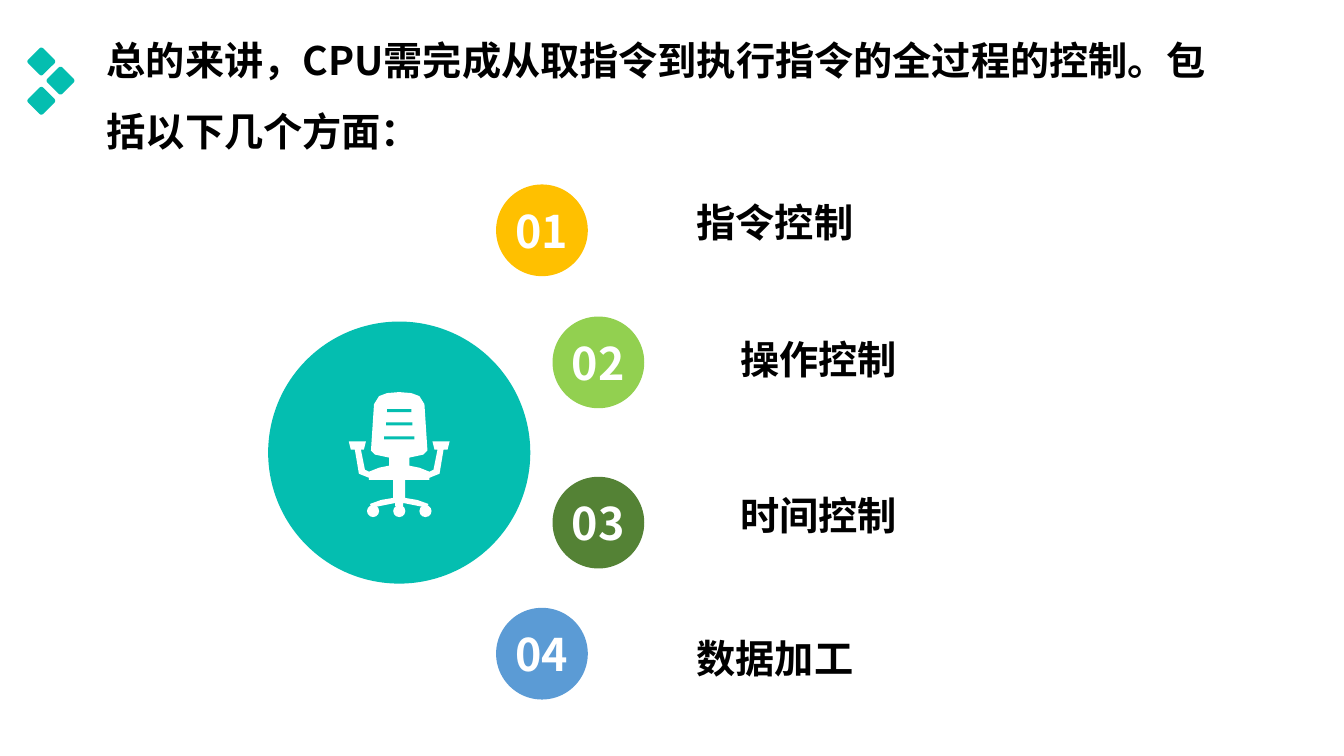
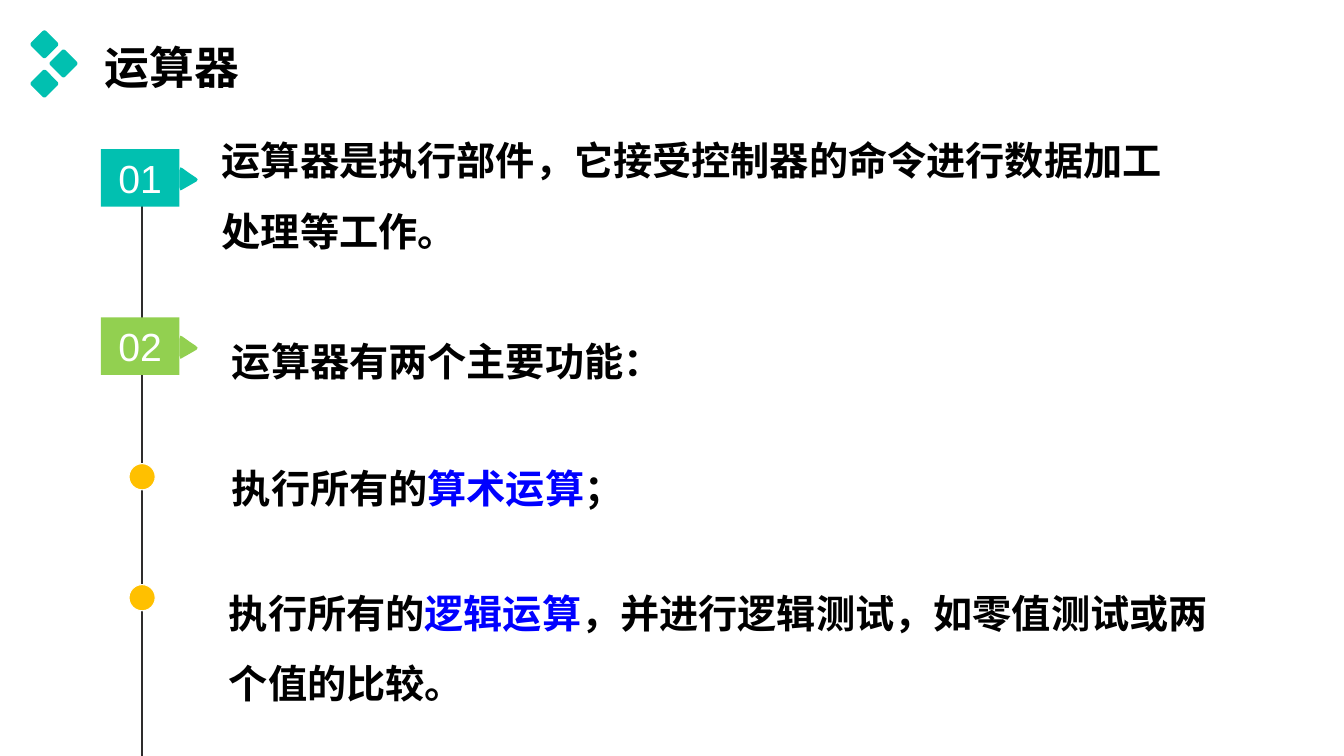
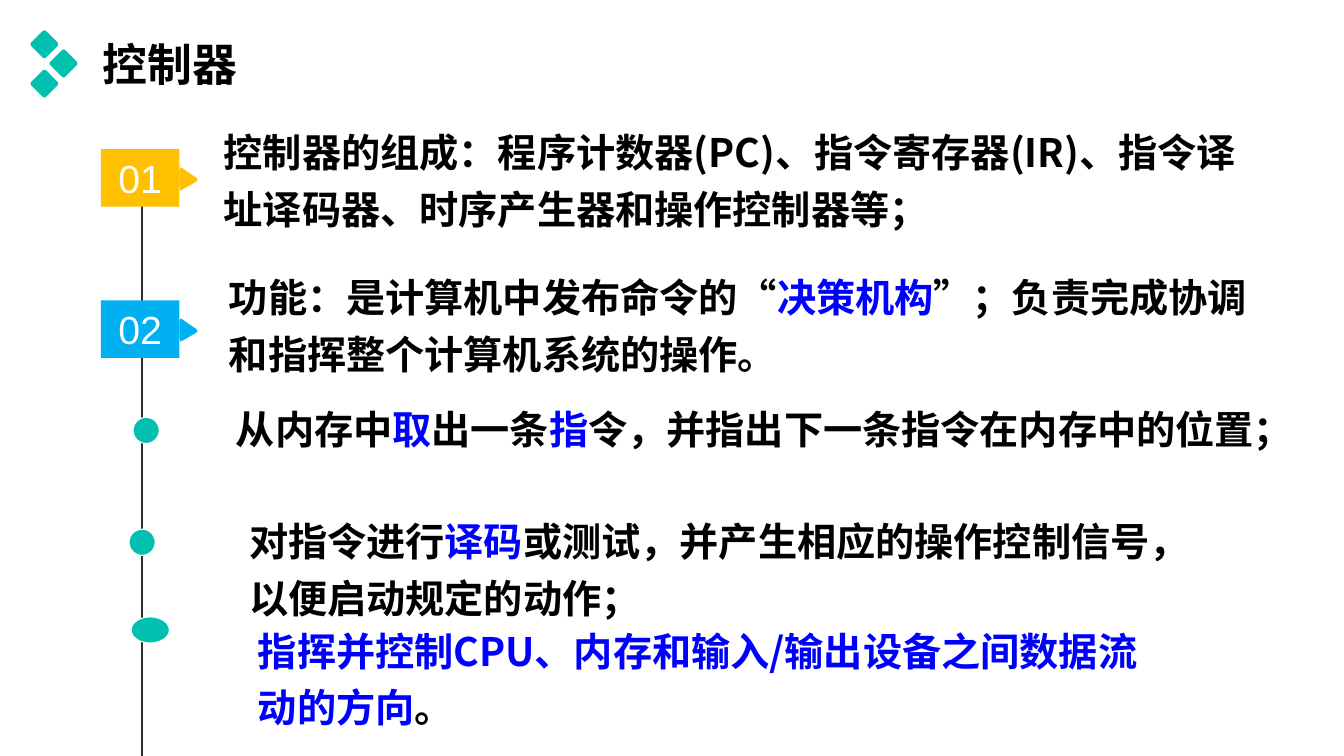
from dataclasses import dataclass

from lxml.etree import SubElement
from pptx import Presentation
from pptx.dml.color import RGBColor
from pptx.enum.shapes import MSO_CONNECTOR, MSO_SHAPE
from pptx.enum.text import MSO_ANCHOR, MSO_AUTO_SIZE, PP_ALIGN
from pptx.oxml.ns import qn
from pptx.util import Inches, Pt

COLORS = {
    "teal": "04BEB0",
    "sea": "01C0B0",
    "gold": "FFC000",
    "lime": "92D050",
    "forest": "548235",
    "blue": "5B9BD5",
    "sky": "00B0F0",
    "emphasis": "0000FF",
    "rail": "2E2C2C",
    "black": "000000",
    "white": "FFFFFF",
}
CJK_FONT = "Noto Sans CJK SC"
HEADING = {"name": CJK_FONT, "size": Pt(32), "bold": True}
STATEMENT = {"name": CJK_FONT, "size": Pt(28), "bold": True}
TAG_NUMBER = {"name": "Arial", "size": Pt(28), "bold": False}
FRAME = {
    "word_wrap": True,
    "auto_size": MSO_AUTO_SIZE.NONE,
    "vertical_anchor": MSO_ANCHOR.TOP,
}
COMPARISON_LAYOUT = 4  # a title and four body placeholders

DIAMOND_SIDE = 0.21
DIAMOND_OFFSETS = [(0, 0), (0.19, 0.19), (0, 0.39)]

RAIL_LEFT, RAIL_TOP, RAIL_BOTTOM = 1.41, 1.75, 7.5
TAG_LEFT, TAG_WIDTH, TAG_HEIGHT = 1, 0.78, 0.57
POINTER_DROP = 0.18
POINTER_OUTLINE = [
    (0, 0.03), (0.01, 0), (0.03, 0.01), (0.1, 0.06), (0.16, 0.1), (0.18, 0.12),
    (0.17, 0.14), (0.1, 0.18), (0.03, 0.22), (0.01, 0.23), (0, 0.2),
]

BADGE_SIZE = 0.91
CHAIR_CENTER = 3.96
CHAIR_RIGHT_HALF = [
    (0, 3.89), (0.12, 3.9), (0.2, 3.93), (0.25, 4.01), (0.28, 4.47),
    (0.24, 4.51), (0.1, 4.54), (0.1, 4.62), (0.2, 4.64), (0.3, 4.68),
    (0.34, 4.66), (0.38, 4.46), (0.35, 4.46), (0.33, 4.38), (0.5, 4.38),
    (0.48, 4.46), (0.44, 4.46), (0.4, 4.7), (0.3, 4.74), (0.3, 4.76),
    (0.06, 4.76), (0.06, 4.94), (0.18, 4.96), (0.29, 5), (0.28, 5.02),
    (0.24, 5.03), (0.14, 5.01), (0.04, 4.99), (0.04, 5.02), (0, 5.02),
]
CHAIR_SLATS = [(4.06, 0.12), (4.19, 0.13), (4.33, 0.15)]
WHEEL_OFFSETS = [-0.26, 0, 0.26]
WHEEL_TOP, WHEEL_SIZE = 5.01, 0.12


@dataclass
class Statement:
    """Spans alternate between plain and emphasised text."""
    left: float
    top: float
    width: float
    height: float
    spans: tuple[str, ...]
    line_spacing: float = 1.0
    indent: float = 0


@dataclass
class Badge:
    left: float
    top: float
    color: str


@dataclass
class Tag:
    top: float
    color: str


@dataclass
class Dot:
    left: float
    top: float
    width: float = 0.26
    height: float = 0.26


@dataclass
class Timeline:
    title: Statement
    tags: list[Tag]
    dots: list[Dot]
    dot_color: str
    statements: list[Statement]


OVERVIEW_TITLE = Statement(
    0.96, 0.08, 11.22, 1.51,
    ("总的来讲，CPU需完成从取指令到执行指令的全过程的控制。包括以下几个方面：",), 1.5)
OVERVIEW_BADGES = [
    Badge(4.92, 1.83, "gold"),
    Badge(5.48, 3.14, "lime"),
    Badge(5.48, 4.73, "forest"),
    Badge(4.92, 6.03, "blue"),
]
OVERVIEW_LABELS = [
    Statement(left, top, 2.28, 0.57, (label,), indent=0.5)
    for left, top, label in [
        (6.31, 1.92, "指令控制"),
        (6.74, 3.28, "操作控制"),
        (6.74, 4.82, "时间控制"),
        (6.31, 6.24, "数据加工"),
    ]
]

TIMELINES = [
    Timeline(
        Statement(0.94, 0.34, 6.53, 0.64, ("运算器",)),
        [Tag(1.48, "sea"), Tag(3.15, "lime")],
        [Dot(1.28, 4.6), Dot(1.28, 5.8)],
        "gold",
        [
            Statement(2.1, 1.07, 9.73, 1.51,
                      ("运算器是执行部件，它接受控制器的命令进行数据加工处理等工作。",), 1.5),
            Statement(2.2, 3.06, 4.52, 0.81, ("运算器有两个主要功能：",), 1.5),
            Statement(2.2, 4.32, 4.13, 0.81, ("执行所有的", "算术运算", "；"), 1.5),
            Statement(1.67, 5.56, 10.75, 1.51,
                      ("执行所有的", "逻辑运算",
                       "，并进行逻辑测试，如零值测试或两个值的比较。"), 1.5, 0.5),
        ],
    ),
    Timeline(
        Statement(0.92, 0.31, 6.53, 0.64, ("控制器",)),
        [Tag(1.48, "gold"), Tag(2.98, "sky")],
        [Dot(1.32, 4.14), Dot(1.28, 5.25), Dot(1.3, 6.12, width=0.38)],
        "sea",
        [
            Statement(2.12, 1.13, 10.48, 1.23,
                      ("控制器的组成：程序计数器(PC)、指令寄存器(IR)、"
                       "指令译址译码器、时序产生器和操作控制器等；",), 1.2),
            Statement(2.17, 2.57, 10.56, 1.23,
                      ("功能：是计算机中发布命令的“", "决策机构",
                       "”；负责完成协调和指挥整个计算机系统的操作。"), 1.2),
            Statement(1.74, 3.88, 10.99, 0.67,
                      ("从内存中", "取", "出一条", "指",
                       "令，并指出下一条指令在内存中的位置；"), 1.2, 0.5),
            Statement(1.87, 4.99, 9.64, 1.23,
                      ("对指令进行", "译码",
                       "或测试，并产生相应的操作控制信号，以便启动规定的动作；"), 1.2, 0.5),
            Statement(1.96, 6.08, 9.64, 1.23,
                      ("", "指挥并控制CPU、内存和输入/输出设备之间数据流动的方向", "。"),
                      1.2, 0.5),
        ],
    ),
]


def rgb(color: str) -> RGBColor:
    return RGBColor.from_string(COLORS[color])


def apply(target, values: dict) -> None:
    for name, value in values.items():
        setattr(target, name, value)


def add_span(para, text: str, style: dict, color: str) -> None:
    span = para.add_run()
    span.text = text
    apply(span.font, style)
    span.font.color.rgb = rgb(color)
    east_asian = SubElement(span.font._element, qn("a:ea"))
    east_asian.set("typeface", style["name"])


def fill_statement(box, item: Statement, style: dict) -> None:
    apply(box, {name: Inches(getattr(item, name))
                for name in ("left", "top", "width", "height")})
    apply(box.text_frame, FRAME)
    para = box.text_frame.paragraphs[0]
    properties = para._p.get_or_add_pPr()
    properties.set("marL", str(Inches(item.indent)))
    properties.set("indent", "0")
    SubElement(properties, qn("a:buNone"))
    apply(para, {"alignment": PP_ALIGN.LEFT, "space_before": Pt(0),
                 "line_spacing": item.line_spacing})
    for index, text in enumerate(item.spans):
        if text:
            add_span(para, text, style, "emphasis" if index % 2 else "black")


def paint(shape, color: str) -> None:
    shape.shadow.inherit = False
    shape.fill.solid()
    shape.fill.fore_color.rgb = rgb(color)
    shape.line.fill.background()


def add_preset(page, kind, left: float, top: float, width: float, height: float, color: str):
    shape = page.shapes.add_shape(
        kind, Inches(left), Inches(top), Inches(width), Inches(height))
    paint(shape, color)
    return shape


def add_outline(page, points: list[tuple[float, float]], color: str) -> None:
    corners = [(Inches(x), Inches(y)) for x, y in points]
    builder = page.shapes.build_freeform(*corners[0])
    builder.add_line_segments(corners[1:], close=True)
    paint(builder.convert_to_shape(), color)


def add_number(shape, number: int, style: dict) -> None:
    frame = shape.text_frame
    apply(frame, {"word_wrap": False, "vertical_anchor": MSO_ANCHOR.MIDDLE,
                  "margin_left": 0, "margin_right": 0,
                  "margin_top": 0, "margin_bottom": 0})
    para = frame.paragraphs[0]
    para.alignment = PP_ALIGN.CENTER
    add_span(para, f"{number:02d}", style, "white")


def add_diamonds(page, center_x: float, center_y: float, color: str) -> None:
    for shift_x, shift_y in DIAMOND_OFFSETS:
        diamond = add_preset(
            page, MSO_SHAPE.ROUNDED_RECTANGLE,
            center_x + shift_x - DIAMOND_SIDE / 2, center_y + shift_y - DIAMOND_SIDE / 2,
            DIAMOND_SIDE, DIAMOND_SIDE, color)
        diamond.rotation = 45
        diamond.adjustments[0] = 0.12


def add_page(deck, title: Statement, title_style: dict, statements: list[Statement]):
    """Fill the title and body placeholders; further statements get text boxes."""
    page = deck.slides.add_slide(deck.slide_layouts[COMPARISON_LAYOUT])
    fill_statement(page.shapes.title, title, title_style)
    bodies = list(page.placeholders)[1:]
    for index, item in enumerate(statements):
        if index < len(bodies):
            box = bodies[index]
        else:
            box = page.shapes.add_textbox(0, 0, 0, 0)
        fill_statement(box, item, STATEMENT)
    return page


def add_chair(page) -> None:
    left_half = [(-x, y) for x, y in reversed(CHAIR_RIGHT_HALF[1:-1])]
    add_outline(page, [(CHAIR_CENTER + x, y) for x, y in CHAIR_RIGHT_HALF + left_half], "white")
    for top, half_width in CHAIR_SLATS:
        add_preset(page, MSO_SHAPE.RECTANGLE, CHAIR_CENTER - half_width, top,
                   2 * half_width, 0.03, "teal")
    for shift in WHEEL_OFFSETS:
        add_preset(page, MSO_SHAPE.OVAL, CHAIR_CENTER + shift - WHEEL_SIZE / 2, WHEEL_TOP,
                   WHEEL_SIZE, WHEEL_SIZE, "white")


def add_rail(page) -> None:
    rail = page.shapes.add_connector(
        MSO_CONNECTOR.STRAIGHT, Inches(RAIL_LEFT), Inches(RAIL_TOP),
        Inches(RAIL_LEFT), Inches(RAIL_BOTTOM))
    rail.line.color.rgb = rgb("rail")
    rail.line.width = Pt(1)
    SubElement(rail._element.spPr, qn("a:effectLst"))


def add_tag(page, tag: Tag, number: int) -> None:
    pointer = [(TAG_LEFT + TAG_WIDTH + x, tag.top + POINTER_DROP + y)
               for x, y in POINTER_OUTLINE]
    add_outline(page, pointer, tag.color)
    plate = add_preset(page, MSO_SHAPE.RECTANGLE, TAG_LEFT, tag.top,
                       TAG_WIDTH, TAG_HEIGHT, tag.color)
    add_number(plate, number, TAG_NUMBER)


def add_dot(page, dot: Dot, color: str) -> None:
    shape = add_preset(page, MSO_SHAPE.OVAL, dot.left, dot.top, dot.width, dot.height, color)
    shape.line.color.rgb = rgb("white")
    shape.line.width = Pt(0)


def build_overview(deck) -> None:
    page = add_page(deck, OVERVIEW_TITLE, STATEMENT, OVERVIEW_LABELS)
    add_diamonds(page, 0.41, 0.61, "teal")
    for number, badge in enumerate(OVERVIEW_BADGES, 1):
        circle = add_preset(page, MSO_SHAPE.OVAL, badge.left, badge.top,
                            BADGE_SIZE, BADGE_SIZE, badge.color)
        add_number(circle, number, HEADING)
    add_preset(page, MSO_SHAPE.OVAL, 2.66, 3.19, 2.6, 2.6, "teal")
    add_chair(page)


def build_timeline(deck, timeline: Timeline) -> None:
    page = add_page(deck, timeline.title, HEADING, timeline.statements)
    add_diamonds(page, 0.44, 0.44, "sea")
    add_rail(page)
    for dot in timeline.dots:
        add_dot(page, dot, timeline.dot_color)
    for number, tag in enumerate(timeline.tags, 1):
        add_tag(page, tag, number)


def main() -> None:
    deck = Presentation()
    deck.slide_width, deck.slide_height = Inches(13.33), Inches(7.5)
    build_overview(deck)
    for timeline in TIMELINES:
        build_timeline(deck, timeline)
    deck.save("out.pptx")


if __name__ == "__main__":
    main()
